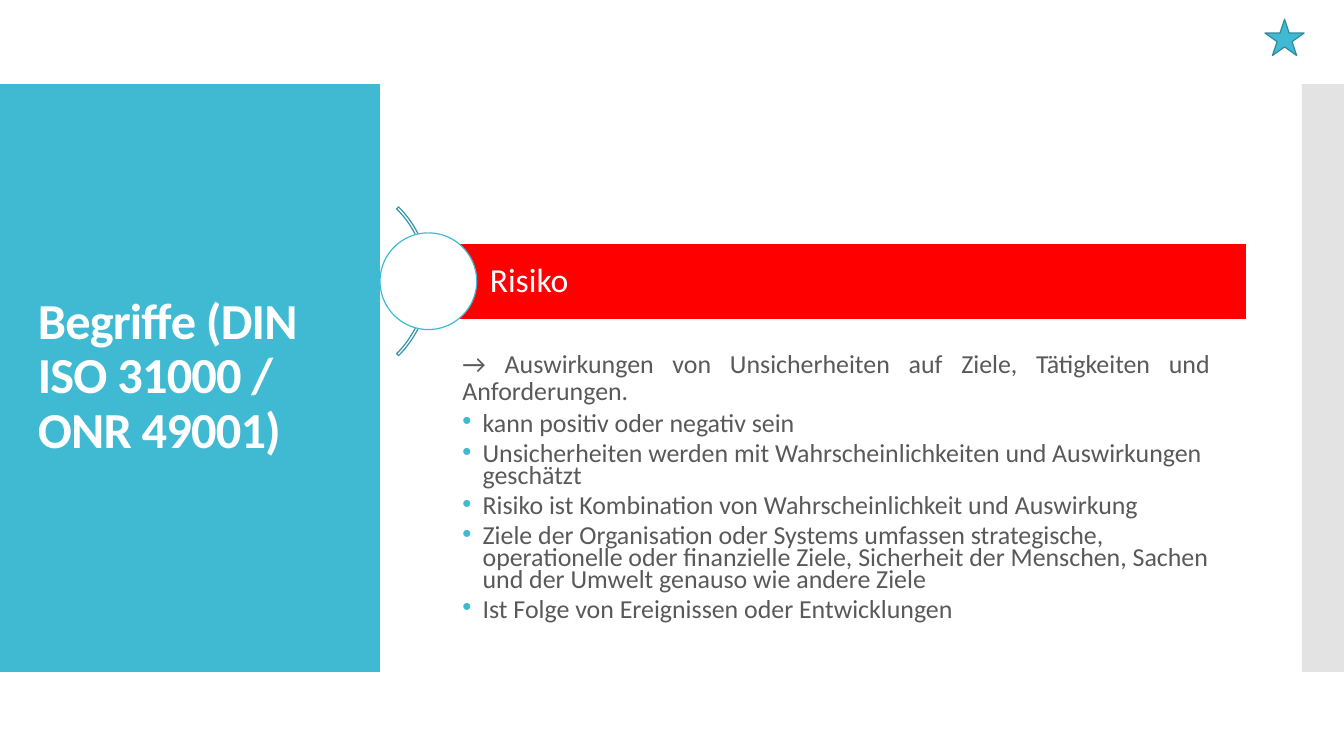
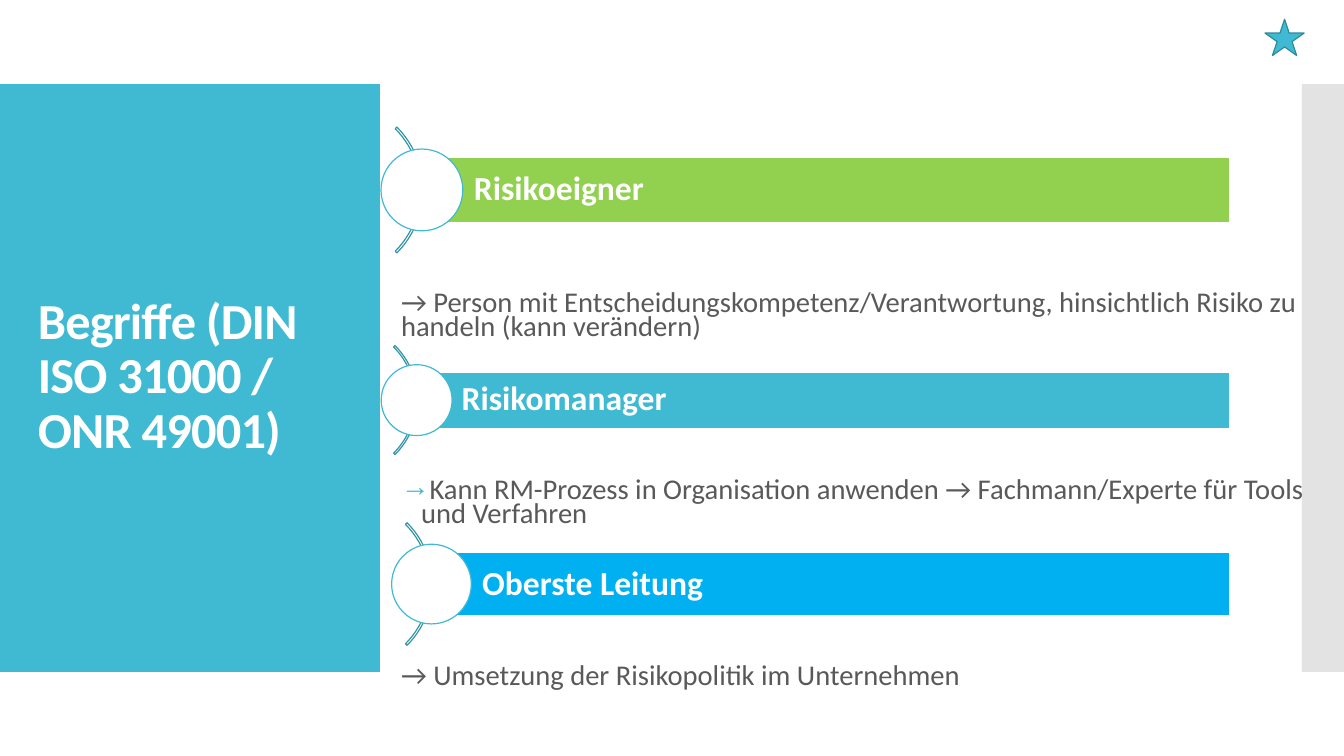
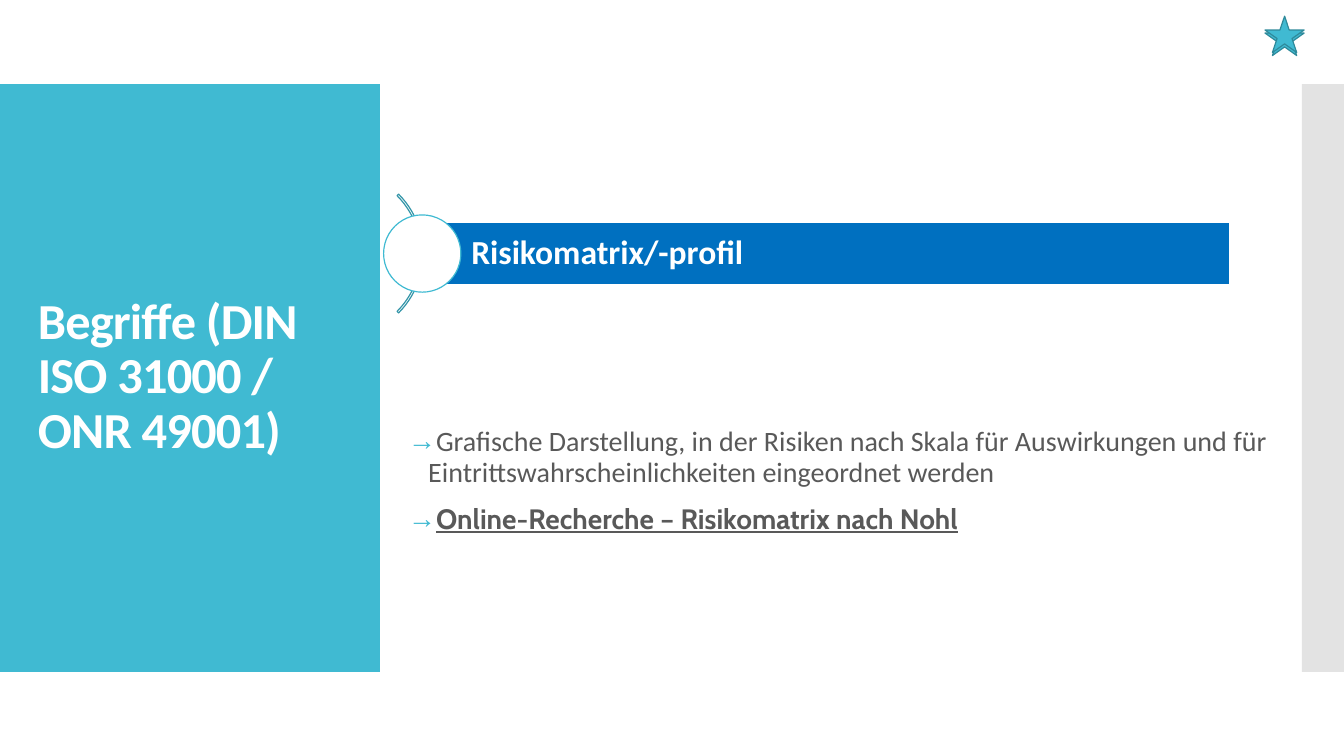
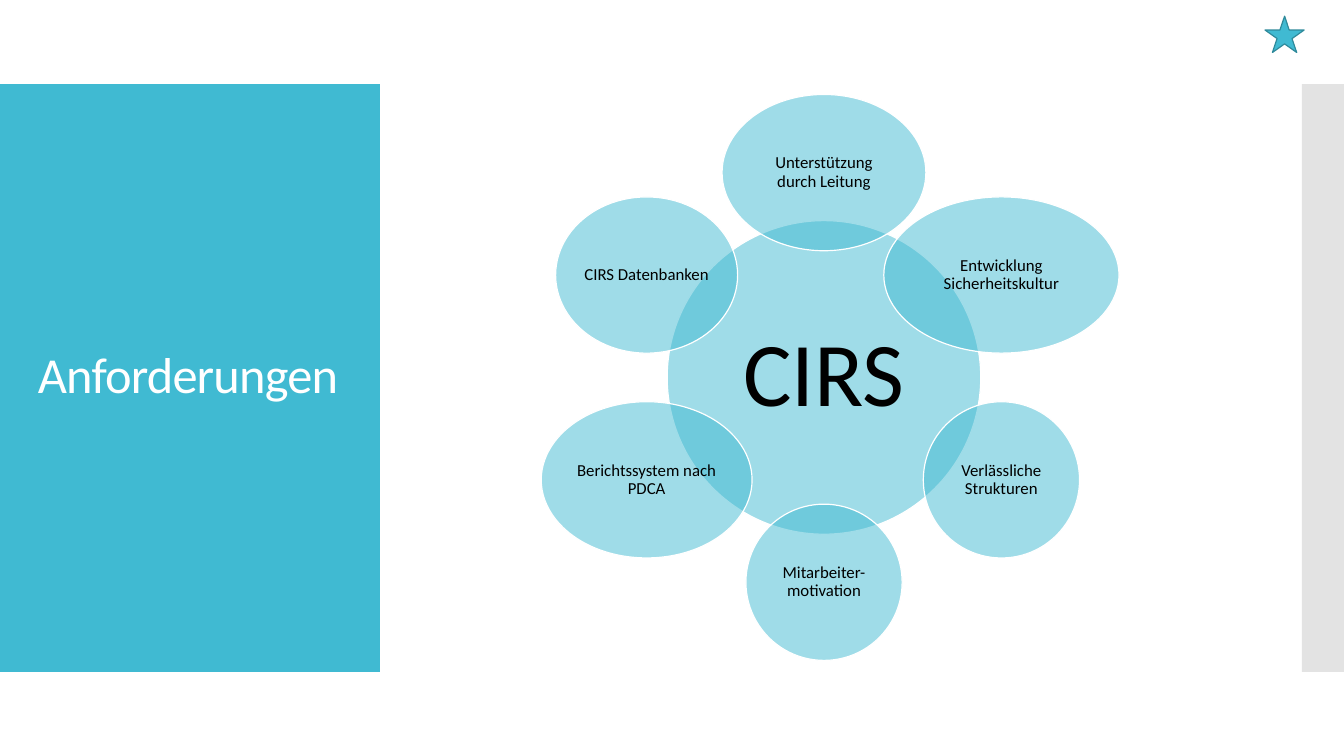
from dataclasses import dataclass
from math import cos, radians, sin

from lxml.etree import SubElement
from pptx import Presentation
from pptx.dml.color import RGBColor
from pptx.enum.shapes import MSO_SHAPE as Preset
from pptx.enum.text import MSO_ANCHOR as Anchor, PP_ALIGN as Align
from pptx.oxml.ns import qn
from pptx.shapes.autoshape import Shape
from pptx.slide import Slide
from pptx.util import Pt

COLORS = {
    "white": "FFFFFF", "black": "000000", "text": "595959",
    "teal": "40BAD2", "arc": "3395A8", "star": "2F8A9B", "side": "C8C8C8",
    "red": "FF0000", "green": "92D050", "sky": "00B0F0", "blue": "0070C0",
}
FONT = "Calibri"
LINE_WIDTH = 0.85
BULLET_INDENT = 14.4
TERMS_TITLE = "Begriffe (DIN ISO 31000 / ONR 49001)"
STAR_TOP, STAR_TOP_RAISED = 13.7, 11.5


@dataclass(frozen=True)
class Banner:
    """A term bar with a circle centred on its left end."""
    text: str
    left: float
    middle: float
    height: float
    right: float
    color: str
    bold: bool = True


@dataclass(frozen=True)
class Entry:
    text: str
    bullet: str = ""
    spacing: float = 0.7
    justified: bool = False
    font: str = FONT
    emphasis: bool = False


@dataclass(frozen=True)
class Block:
    left: float
    top: float
    width: float
    height: float
    size: float
    before: float
    entries: tuple[Entry, ...]


@dataclass(frozen=True)
class Petal:
    text: str
    width: float


@dataclass(frozen=True)
class TermPage:
    banners: tuple[Banner, ...]
    blocks: tuple[Block, ...]
    star_tops: tuple[float, ...] = (STAR_TOP,)


TERM_PAGES = (
    TermPage(
        (Banner("Risiko", 306, 200.9, 54.8, 890.6, "red", False),),
        (Block(323.3, 248, 548, 205, 18.5, 6, (
            Entry("→ Auswirkungen von Unsicherheiten auf Ziele, Tätigkeiten und "
                  "Anforderungen.", spacing=0.87, justified=True),
            Entry("kann positiv oder negativ sein", "•"),
            Entry("Unsicherheiten werden mit Wahrscheinlichkeiten und "
                  "Auswirkungen geschätzt", "•"),
            Entry("Risiko ist Kombination von Wahrscheinlichkeit und Auswirkung", "•"),
            Entry("Ziele der Organisation oder Systems umfassen strategische, "
                  "operationelle oder finanzielle Ziele, Sicherheit der Menschen, "
                  "Sachen und der Umwelt genauso wie andere Ziele", "•"),
            Entry("Ist Folge von Ereignissen oder Entwicklungen", "•"),
        )),),
    ),
    TermPage(
        (Banner("Risikoeigner", 301.4, 135.7, 46.4, 878.4, "green"),
         Banner("Risikomanager", 297.6, 285.8, 40.2, 878.4, "teal"),
         Banner("Oberste Leitung", 308.2, 417.2, 45.2, 878.4, "sky")),
        (Block(279.4, 206, 669.6, 44, 20.4, 12, (
            Entry("→ Person mit Entscheidungskompetenz/Verantwortung, "
                  "hinsichtlich Risiko zu handeln (kann verändern)"),)),
         Block(279.4, 339.5, 669.6, 44, 20.4, 12, (
             Entry("Kann RM-Prozess in Organisation anwenden → "
                   "Fachmann/Experte für Tools und Verfahren", "→"),)),
         Block(279.4, 472.4, 669.6, 26, 20.4, 12, (
             Entry("→ Umsetzung der Risikopolitik im Unternehmen"),))),
    ),
    TermPage(
        (Banner("Risikomatrix/-profil", 301.6, 181.1, 43.8, 878.4, "blue"),),
        (Block(284.4, 302, 666.7, 90, 20, 12, (
            Entry("Grafische Darstellung, in der Risiken nach Skala für "
                  "Auswirkungen und für Eintrittswahrscheinlichkeiten "
                  "eingeordnet werden", "→", 0.9),
            Entry("Online-Recherche – Risikomatrix nach Nohl", "→", 0.9,
                  font="Cabin", emphasis=True),
        )),),
        (STAR_TOP, STAR_TOP_RAISED),
    ),
)

PETALS = (
    Petal("Unterstützung durch Leitung", 145.6),
    Petal("Entwicklung Sicherheitskultur", 168),
    Petal("Verlässliche Strukturen", 111.6),
    Petal("Mitarbeiter-motivation", 111.6),
    Petal("Berichtssystem nach PDCA", 150.6),
    Petal("CIRS Datenbanken", 130),
)
HUB_X, HUB_Y, HUB_SIZE = 588.6, 269.6, 224
RING_RADIUS, PETAL_HEIGHT = 146.3, 111.6


def rgb(name: str) -> RGBColor:
    return RGBColor.from_string(COLORS[name])


def add_shape(page: Slide, preset: Preset, left: float, top: float, width: float,
              height: float, fill: str = "", line: str = "",
              half_clear: bool = False) -> Shape:
    shape = page.shapes.add_shape(preset, Pt(left), Pt(top), Pt(width), Pt(height))
    shape.shadow.inherit = False
    if fill:
        shape.fill.solid()
        shape.fill.fore_color.rgb = rgb(fill)
    else:
        shape.fill.background()
    if half_clear:
        color = shape.fill._xPr.find(f".//{qn('a:srgbClr')}")
        SubElement(color, qn("a:alpha"), val="50000")
    if line:
        shape.line.color.rgb = rgb(line)
        shape.line.width = Pt(LINE_WIDTH)
    else:
        shape.line.fill.background()
    return shape


def set_label(shape: Shape, text: str, size: float, color: str,
              align: Align = Align.LEFT, bold: bool = False) -> None:
    """Put one vertically centred paragraph into a shape."""
    frame = shape.text_frame
    frame.word_wrap = True
    frame.vertical_anchor = Anchor.MIDDLE
    frame.text = text
    para = frame.paragraphs[0]
    para.alignment = align
    para.line_spacing = 0.9
    font = para.runs[0].font
    font.name, font.size, font.bold = FONT, Pt(size), bold
    font.color.rgb = rgb(color)


def set_insets(shape: Shape, left: float, other: float) -> None:
    frame = shape.text_frame
    frame.margin_left = Pt(left)
    frame.margin_top = frame.margin_right = frame.margin_bottom = Pt(other)


def add_frame(page: Slide, title: str, title_width: float, bold: bool) -> None:
    """Draw the title panel, the side band and the title."""
    add_shape(page, Preset.RECTANGLE, 0, 60, 271.4, 420, "teal")
    add_shape(page, Preset.RECTANGLE, 930, 60, 30, 420, "side", half_clear=True)
    box = page.shapes.add_textbox(Pt(20), Pt(88.5), Pt(title_width), Pt(362))
    set_label(box, title, 36, "white", bold=bold)
    span = box.text_frame.paragraphs[0].runs[0]
    span.font._element.set("spc", "-60")


def add_star(page: Slide, top: float) -> None:
    add_shape(page, Preset.STAR_5_POINT, 903.6, top, 28, 26, "teal", "star")


def add_banner(page: Slide, banner: Banner) -> None:
    arc_size, circle_size = 2.74 * banner.height, 1.26 * banner.height
    arc = add_shape(page, Preset.BLOCK_ARC, banner.left + 0.7 - arc_size,
                    banner.middle - arc_size / 2, arc_size, arc_size, line="arc")
    for index, value in enumerate((189, 27, 0.013)):
        arc.adjustments[index] = value
    bar = add_shape(page, Preset.RECTANGLE, banner.left,
                    banner.middle - banner.height / 2, banner.right - banner.left,
                    banner.height, banner.color, "white")
    set_label(bar, banner.text, 24, "white", bold=banner.bold)
    set_insets(bar, 0.8 * banner.height, 5)
    add_shape(page, Preset.OVAL, banner.left - circle_size / 2,
              banner.middle - circle_size / 2, circle_size, circle_size,
              "white", "teal")


def add_block(page: Slide, block: Block) -> None:
    box = page.shapes.add_textbox(Pt(block.left), Pt(block.top),
                                  Pt(block.width), Pt(block.height))
    frame = box.text_frame
    frame.word_wrap = True
    frame.text = "\n".join(entry.text for entry in block.entries)
    for index, (para, entry) in enumerate(zip(frame.paragraphs, block.entries)):
        if entry.bullet:
            properties = para._p.get_or_add_pPr()
            properties.set("marL", str(Pt(BULLET_INDENT)))
            properties.set("indent", str(-Pt(BULLET_INDENT)))
            color = SubElement(properties, qn("a:buClr"))
            SubElement(color, qn("a:srgbClr"), val=COLORS["teal"])
            SubElement(properties, qn("a:buFont"), typeface="Arial")
            SubElement(properties, qn("a:buChar"), char=entry.bullet)
        para.line_spacing = entry.spacing
        para.alignment = Align.JUSTIFY if entry.justified else Align.LEFT
        if index:
            para.space_before = Pt(block.before)
        font = para.runs[0].font
        font.name, font.size = entry.font, Pt(block.size)
        font.bold = font.underline = entry.emphasis
        font.color.rgb = rgb("text")


def add_bubble(page: Slide, text: str, center_x: float, center_y: float,
               width: float, height: float, size: float, inset: float) -> None:
    bubble = add_shape(page, Preset.OVAL, center_x - width / 2, center_y - height / 2,
                       width, height, "teal", "white", half_clear=True)
    set_label(bubble, text, size, "black", Align.CENTER)
    set_insets(bubble, inset, inset)


def add_requirements(page: Slide) -> None:
    add_frame(page, "Anforderungen", 242, False)
    add_bubble(page, "CIRS", HUB_X, HUB_Y, HUB_SIZE, HUB_SIZE, 65, 6.5)
    for index, petal in enumerate(PETALS):
        angle = radians(index * 360 / len(PETALS))
        add_bubble(page, petal.text, HUB_X + RING_RADIUS * sin(angle),
                   HUB_Y - RING_RADIUS * cos(angle), petal.width, PETAL_HEIGHT,
                   12, 1.5)
    add_star(page, STAR_TOP_RAISED)


def add_terms(page: Slide, content: TermPage) -> None:
    add_frame(page, TERMS_TITLE, 232, True)
    for block in content.blocks:
        add_block(page, block)
    for banner in content.banners:
        add_banner(page, banner)
    for top in content.star_tops:
        add_star(page, top)


def main() -> None:
    deck = Presentation()
    deck.slide_width, deck.slide_height = Pt(960), Pt(540)
    blank = deck.slide_layouts[6]
    for content in TERM_PAGES:
        add_terms(deck.slides.add_slide(blank), content)
    add_requirements(deck.slides.add_slide(blank))
    deck.save("out.pptx")


if __name__ == "__main__":
    main()
